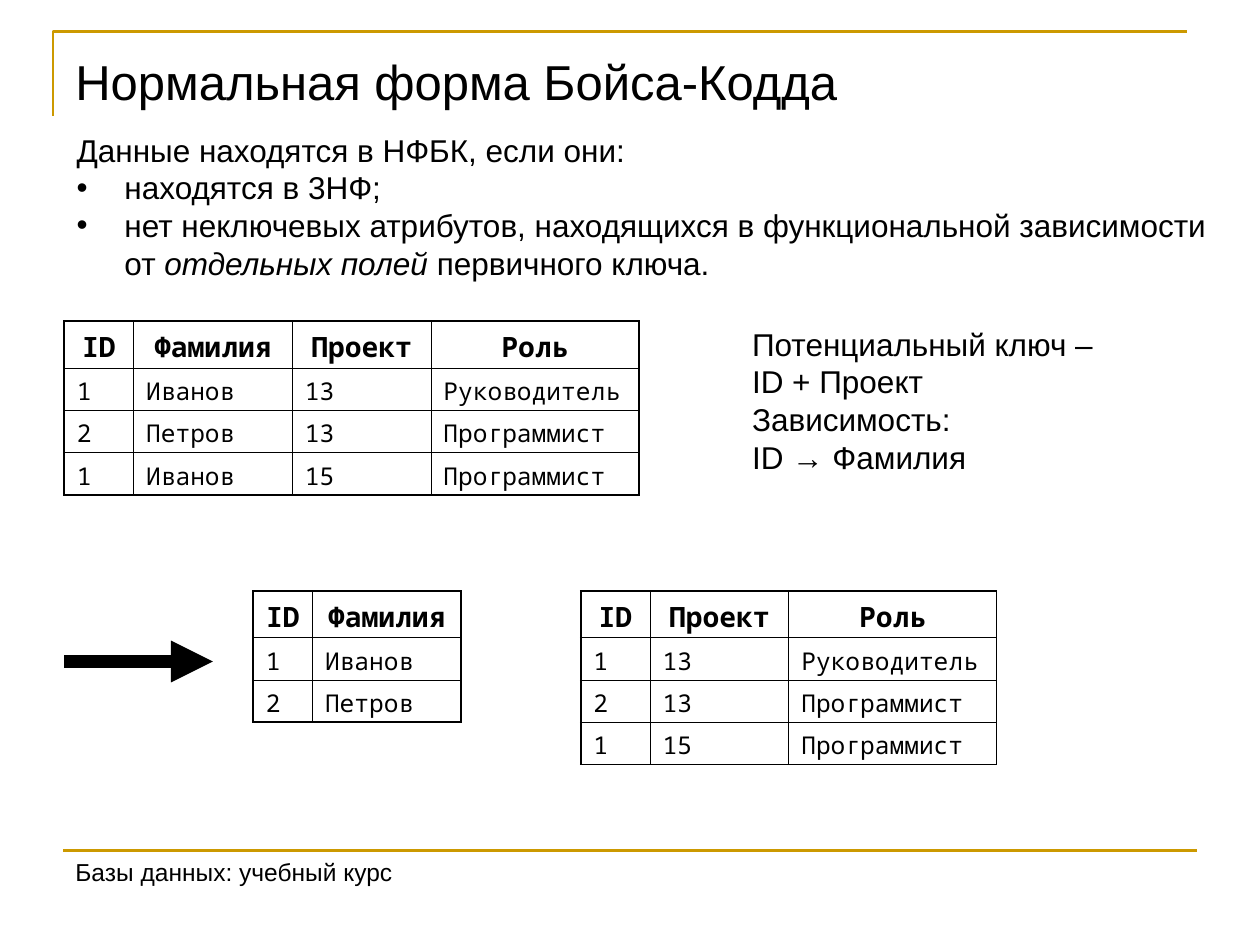
from dataclasses import dataclass

from lxml.etree import SubElement
from pptx import Presentation
from pptx.dml.color import RGBColor as Color
from pptx.enum.shapes import MSO_CONNECTOR as Connector
from pptx.enum.text import MSO_ANCHOR as Anchor, PP_ALIGN as Align
from pptx.oxml.ns import qn
from pptx.util import Inches, Pt

COLUMNS, ROWS = 100, 75
WIDTH, HEIGHT = Inches(10), Inches(7.5)


@dataclass(frozen=True)
class Theme:
    ink: str = "000000"
    accent: str = "CC9900"
    text_font: str = "Arial"
    table_font: str = "Noto Sans Mono"
    title_size: float = 28
    body_size: float = 18
    body_leading: float = 21.5
    header_size: float = 16
    small_size: float = 14
    rule: float = 1.5
    arrow: float = 8
    outer_border: float = 1.08
    inner_border: float = 0.45


THEME = Theme()


def across(columns):
    return int(WIDTH * columns / COLUMNS)


def down(rows):
    return int(HEIGHT * rows / ROWS)


def add_span(para, text, size, font=THEME.text_font, bold=False, italic=False):
    span = para.add_run()
    span.text = text
    span.font.name, span.font.size = font, Pt(size)
    span.font.bold, span.font.italic = bold, italic
    span.font.color.rgb = Color.from_string(THEME.ink)


def add_lines(para, lines):
    """Write body lines, each a list of (text, italic) spans, with breaks between them."""
    para.line_spacing = Pt(THEME.body_leading)
    for index, spans in enumerate(lines):
        if index:
            para.add_line_break()
        for text, italic in spans:
            add_span(para, text, THEME.body_size, italic=italic)


def add_text_frame(page, box, anchor=Anchor.TOP, wrap=False):
    left, top, width, height = box
    frame = page.shapes.add_textbox(
        across(left), down(top), across(width), down(height)).text_frame
    frame.word_wrap, frame.vertical_anchor = wrap, anchor
    return frame


def add_line(page, start, end, color, weight):
    line = page.shapes.add_connector(
        Connector.STRAIGHT, across(start[0]), down(start[1]), across(end[0]), down(end[1]))
    line.line.color.rgb, line.line.width = Color.from_string(color), Pt(weight)
    SubElement(line._element.spPr, qn("a:effectLst"))
    return line


def add_title(page, box, text):
    left, top, width, height = box
    corner_left, corner_top = left - 0.8, top - 0.5
    builder = page.shapes.build_freeform(across(corner_left), down(corner_top + 6.7))
    builder.add_line_segments(
        [(across(corner_left), down(corner_top)),
         (across(corner_left + width), down(corner_top))], close=False)
    bracket = builder.convert_to_shape()
    bracket.shadow.inherit = False
    bracket.fill.background()
    bracket.line.color.rgb = Color.from_string(THEME.accent)
    bracket.line.width = Pt(THEME.rule)
    frame = add_text_frame(page, box, Anchor.MIDDLE, wrap=True)
    add_span(frame.paragraphs[0], text, THEME.title_size)


def add_footer(page, box, text):
    left, top, width, height = box
    add_line(page, (left, top), (left + width, top), THEME.accent, THEME.rule)
    frame = add_text_frame(page, box, Anchor.MIDDLE)
    add_span(frame.paragraphs[0], text, THEME.small_size)


def add_definition(page, box, lead, bullets):
    frame = add_text_frame(page, box)
    add_lines(frame.paragraphs[0], [[(lead, False)]])
    for lines in bullets:
        para = frame.add_paragraph()
        props = para._p.get_or_add_pPr()
        indent = across(3.8)
        props.set("marL", str(indent))
        props.set("indent", str(-indent))
        SubElement(props, qn("a:buFont"), typeface=THEME.text_font)
        SubElement(props, qn("a:buChar"), char="•")
        add_lines(para, lines)


def add_key_note(page, box, paragraphs):
    frame = add_text_frame(page, box)
    for index, lines in enumerate(paragraphs):
        para = frame.add_paragraph() if index else frame.paragraphs[0]
        add_lines(para, [[(line, False)] for line in lines])


def set_borders(cell, outer_sides):
    """Draw all four sides; outer_sides holds the tags on the table's edge."""
    props = cell._tc.get_or_add_tcPr()
    for position, tag in enumerate(("lnL", "lnR", "lnT", "lnB")):
        weight = THEME.outer_border if tag in outer_sides else THEME.inner_border
        border = SubElement(props, qn("a:" + tag), w=str(Pt(weight)))
        SubElement(SubElement(border, qn("a:solidFill")), qn("a:srgbClr"), val=THEME.ink)
        props.remove(border)
        props.insert(position, border)


def add_relation(page, corner, widths, records):
    """Place a relation whose first record is its header."""
    heights = [3.7] + [3.36] * (len(records) - 1)
    table = page.shapes.add_table(
        len(records), len(widths), across(corner[0]), down(corner[1]),
        across(sum(widths)), down(sum(heights))).table
    table.first_row = table.horz_banding = False
    for column, width in zip(table.columns, widths):
        column.width = across(width)
    for row_index, (height, record) in enumerate(zip(heights, records)):
        table.rows[row_index].height = down(height)
        header = row_index == 0
        for column_index, text in enumerate(record):
            cell = table.cell(row_index, column_index)
            cell.fill.background()
            cell.margin_left = cell.margin_right = across(0.5 if header else 1)
            cell.margin_top, cell.margin_bottom = down(0.5), 0
            para = cell.text_frame.paragraphs[0]
            para.alignment = Align.CENTER if header else Align.LEFT
            size = THEME.header_size if header else THEME.small_size
            add_span(para, text, size, THEME.table_font, bold=header)
            edges = {"lnL": column_index == 0, "lnR": column_index == len(widths) - 1,
                     "lnT": header, "lnB": row_index == len(records) - 1}
            set_borders(cell, {tag for tag, on_edge in edges.items() if on_edge})


def add_arrow(page, start, end):
    arrow = add_line(page, start, end, THEME.ink, THEME.arrow)
    SubElement(arrow.line._get_or_add_ln(), qn("a:tailEnd"), type="triangle")


def main():
    deck = Presentation()
    deck.slide_width, deck.slide_height = WIDTH, HEIGHT
    page = deck.slides.add_slide(deck.slide_layouts[6])

    add_title(page, (5, 3, 90, 6.9), "Нормальная форма Бойса-Кодда")
    add_footer(page, (5, 67.5, 90, 3.4), "Базы данных: учебный курс")
    add_definition(page, (5.1, 9.9, 92, 13), "Данные находятся в НФБК, если они:", [
        [[("находятся в 3НФ;", False)]],
        [[("нет неключевых атрибутов, находящихся в функциональной зависимости", False)],
         [("от ", False), ("отдельных полей", True), (" первичного ключа.", False)]],
    ])
    add_key_note(page, (58.7, 25.3, 29.8, 13), [
        ["Потенциальный ключ –", "ID + Проект"],
        ["Зависимость:", "ID → Фамилия"],
    ])

    staff = [
        ("ID", "Фамилия", "Проект", "Роль"),
        ("1", "Иванов", "13", "Руководитель"),
        ("2", "Петров", "13", "Программист"),
        ("1", "Иванов", "15", "Программист"),
    ]
    people = [record[:2] for record in staff[:3]]
    roles = [record[:1] + record[2:] for record in staff]
    add_relation(page, (5.1, 25.5), (5.5, 12.6, 11, 16.5), staff)
    add_arrow(page, (5.1, 52.5), (16.9, 52.5))
    add_relation(page, (20.1, 46.9), (4.7, 11.8), people)
    add_relation(page, (46.1, 46.9), (5.5, 11, 16.5), roles)

    deck.save("out.pptx")


if __name__ == "__main__":
    main()
